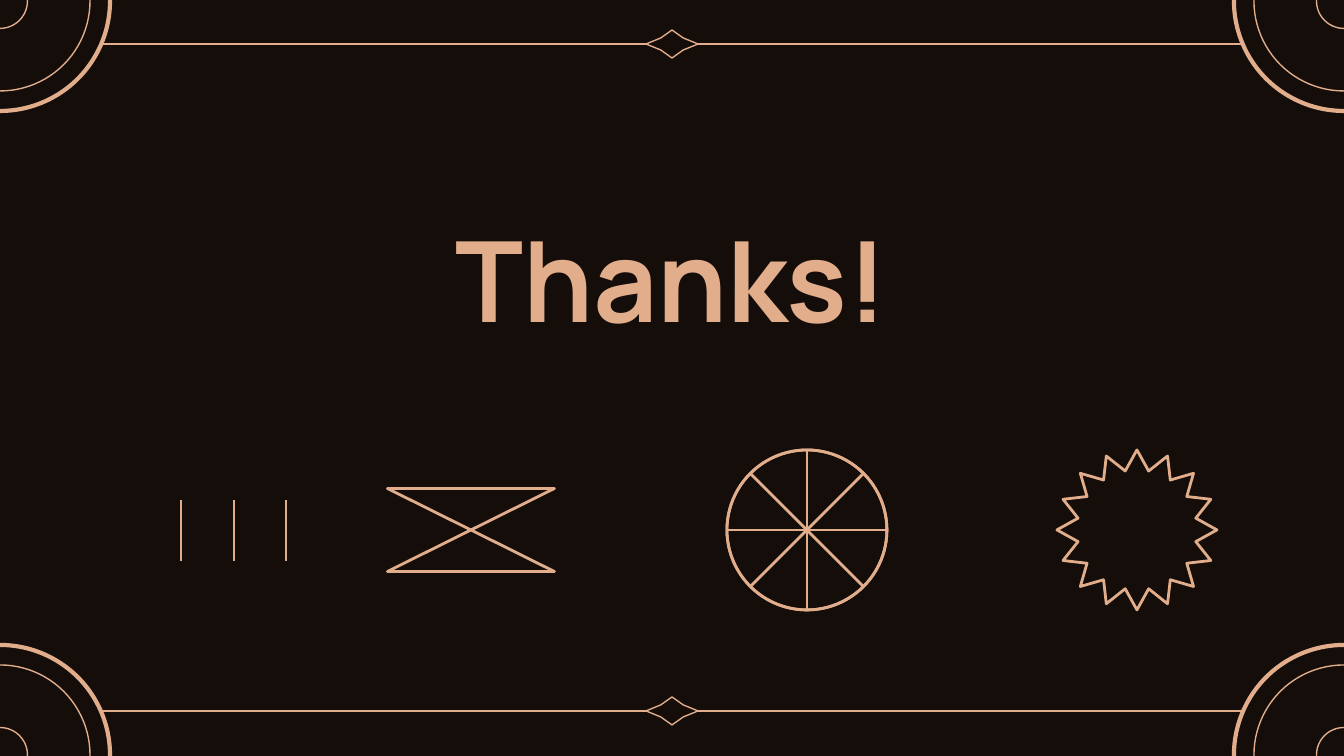
from dataclasses import dataclass

from lxml import etree
from pptx import Presentation
from pptx import util as u
from pptx.dml.color import RGBColor
from pptx.enum import shapes, text
from pptx.oxml.ns import qn

PX = 914400 / 134.4
WIDTH, HEIGHT = 1344, 756
KIND = shapes.MSO_SHAPE


@dataclass(frozen=True)
class Theme:
    ground: RGBColor = RGBColor(0x14, 0x0D, 0x0A)
    copper: RGBColor = RGBColor(0xE1, 0xAD, 0x8B)
    font: str = "Manrope"
    title: float = 60
    hairline: float = 0.75
    line: float = 1.5
    heavy: float = 2.25


THEME = Theme()


def px(length):
    return u.Emu(round(length * PX))


def stroke(line, weight):
    line.color.rgb = THEME.copper
    line.width = u.Pt(weight)


def add_ornament(slide, kind, center, size, weight=THEME.line,
                 filled=False, adjust=None, rotation=0):
    """Draw an outlined preset shape around its center."""
    (x, y), (width, height) = center, size
    ornament = slide.shapes.add_shape(
        kind, px(x - width / 2), px(y - height / 2), px(width), px(height))
    ornament.shadow.inherit = False
    ornament.rotation = rotation
    if filled:
        ornament.fill.solid()
        ornament.fill.fore_color.rgb = THEME.ground
    else:
        ornament.fill.background()
    stroke(ornament.line, weight)
    if adjust is not None:
        ornament.adjustments[0] = adjust


def add_rule(slide, start, end):
    rule = slide.shapes.add_connector(
        shapes.MSO_CONNECTOR.STRAIGHT, *map(px, start + end))
    stroke(rule.line, THEME.line)
    etree.SubElement(rule._element.spPr, qn("a:effectLst"))


def add_text(slide, words, box, *, size, color, bold=False,
             align=text.PP_ALIGN.CENTER, anchor=text.MSO_ANCHOR.MIDDLE):
    frame = slide.shapes.add_textbox(*map(px, box)).text_frame
    frame.word_wrap = True
    frame.vertical_anchor = anchor
    frame.margin_left = frame.margin_right = u.Inches(0.1)
    frame.margin_top = frame.margin_bottom = u.Inches(0.1)
    paragraph = frame.paragraphs[0]
    paragraph.alignment = align
    run = paragraph.add_run()
    run.text = words
    run.font.name = THEME.font
    run.font.size = u.Pt(size)
    run.font.bold = bold
    run.font.color.rgb = color


def add_border(slide):
    corners = [(x, y) for y in (1, HEIGHT - 1) for x in (0, WIDTH)]
    rule_levels = (44, HEIGHT - 45)
    for corner in corners:
        add_ornament(slide, KIND.OVAL, corner, (220, 220), THEME.heavy, filled=True)
        add_ornament(slide, KIND.OVAL, corner, (180, 180), THEME.hairline)
    for y in rule_levels:
        add_rule(slide, (101, y), (WIDTH - 101, y))
        add_ornament(slide, KIND.STAR_4_POINT, (WIDTH / 2, y), (52, 28),
                     THEME.hairline, filled=True, adjust=0.305)
    for corner in corners:
        add_ornament(slide, KIND.OVAL, corner, (55, 55), THEME.hairline, filled=True)


def add_symbols(slide):
    middle = 530
    for x in (181, 234, 286):
        add_rule(slide, (x, middle - 30), (x, middle + 31))
    add_ornament(slide, KIND.FLOWCHART_COLLATE, (471, middle), (167, 83))
    for rotation in (0, 315):
        add_ornament(slide, KIND.FLOWCHART_OR, (807, middle), (160, 160),
                     rotation=rotation)
    add_ornament(slide, KIND.STAR_16_POINT, (1137, middle), (160, 160), adjust=0.375)


def main():
    deck = Presentation()
    deck.slide_width, deck.slide_height = px(WIDTH), px(HEIGHT)
    slide = deck.slides.add_slide(deck.slide_layouts[6])
    slide.background.fill.solid()
    slide.background.fill.fore_color.rgb = THEME.ground

    add_border(slide)
    add_symbols(slide)
    add_text(slide, "Thanks!", (345, 200, 653, 156),
             size=THEME.title, color=THEME.copper, bold=True)
    deck.save("out.pptx")


if __name__ == "__main__":
    main()
